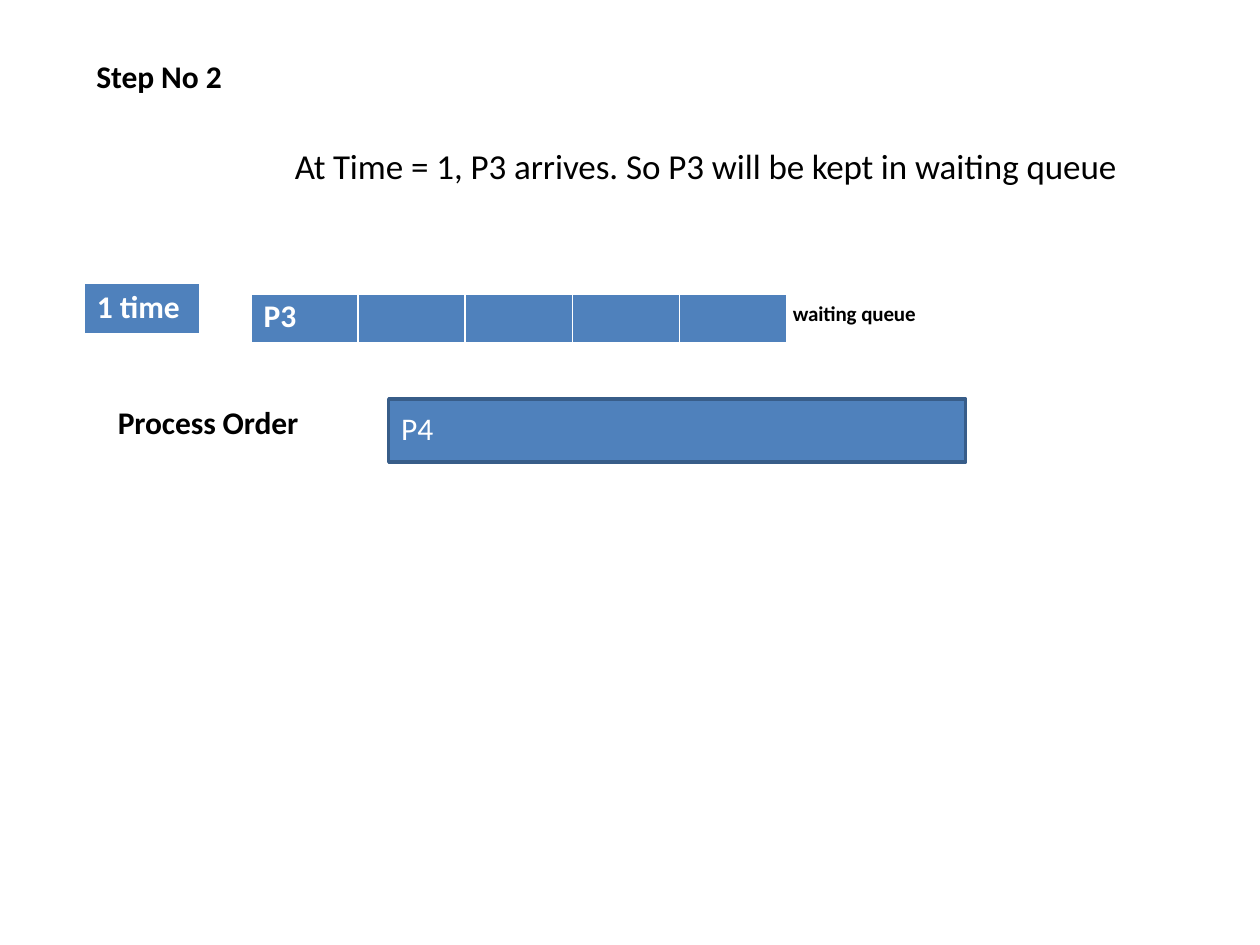
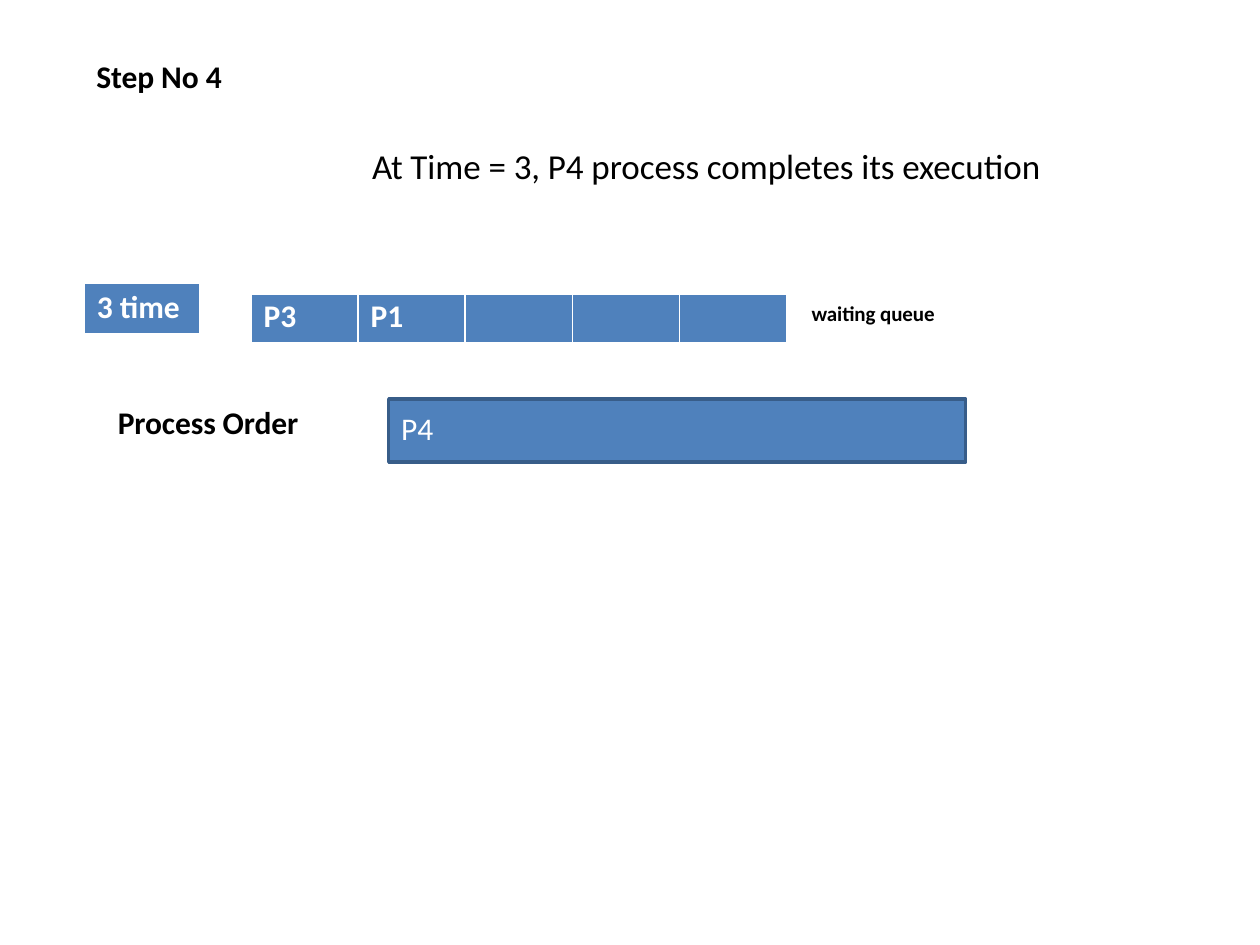
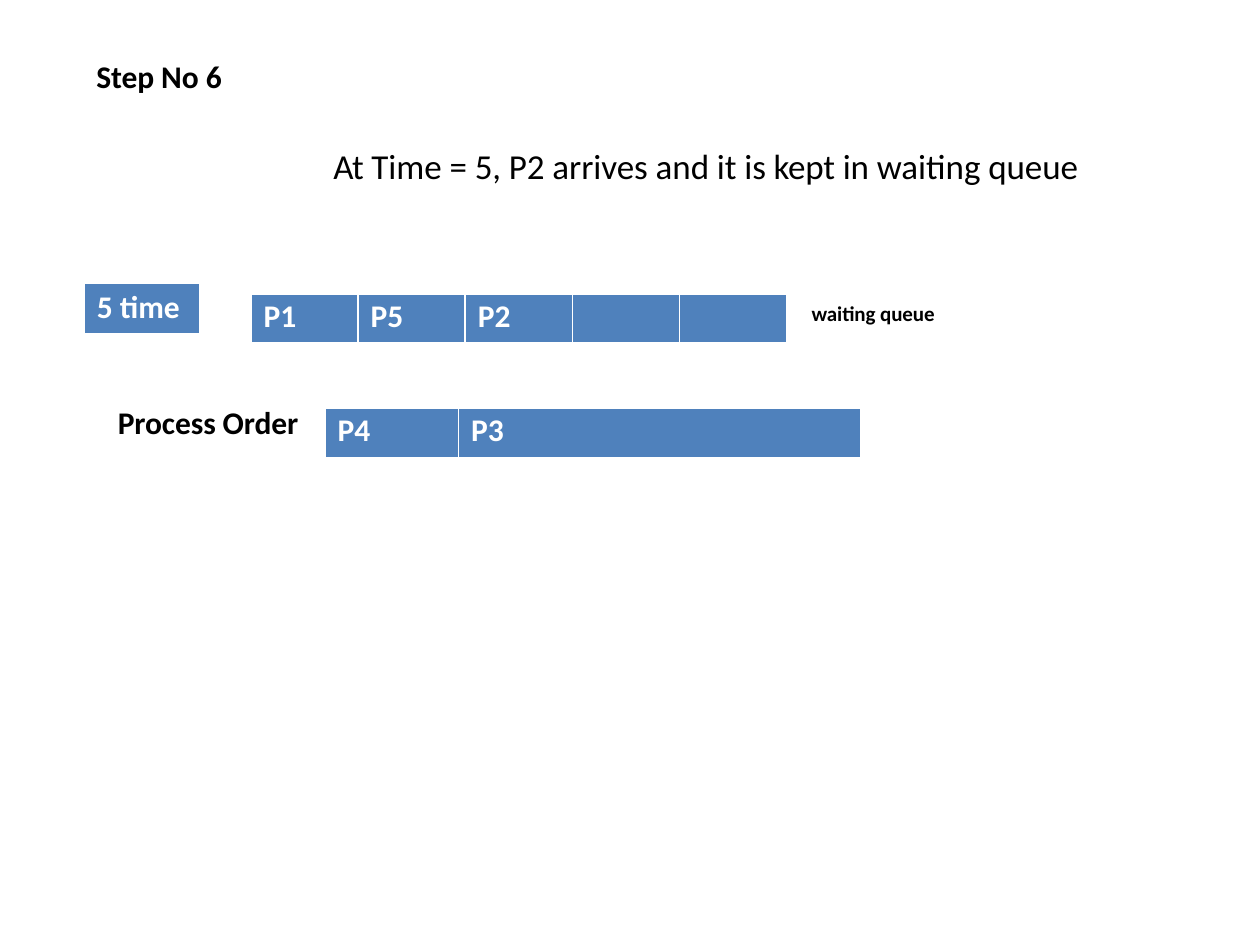
from collections import namedtuple

from pptx import Presentation
from pptx.dml.color import RGBColor
from pptx.enum.shapes import MSO_CONNECTOR, MSO_SHAPE
from pptx.enum.text import MSO_ANCHOR, PP_ALIGN
from pptx.oxml.ns import qn
from pptx.util import Inches, Pt
from lxml.etree import SubElement

COLORS = {"ink": "000000", "paper": "FFFFFF", "block": "4F81BC", "edge": "385D89"}
FONT = "Calibri"

# The slide is a grid of 100 columns and 75 rows of equal size
COLUMNS, ROWS = 100, 75
SLIDE_WIDTH, SLIDE_HEIGHT = Inches(10), Inches(7.5)

Box = namedtuple("Box", "left top width height")
Step = namedtuple("Step", "number headline headline_width time waiting label_gap order")

HEADLINE_CENTER = 56.25
QUEUE_SLOTS = 5
TIGHT, TIGHTER, TIGHTEST = -0.05, -0.15, -0.25

# Each headline is a list of (text, letter spacing)
STEPS = [
    Step(2, [("At ", TIGHTEST), ("Time = 1, P3 arrives. So P3 will be ", TIGHT),
             ("kept ", TIGHTER), ("in waiting queue", TIGHT)],
         65.9, 1, ["P3"], 0.4, {"P4": 45.8}),
    Step(4, [("At ", TIGHTEST), ("Time = 3, P4 process completes its execution", TIGHT)],
         53.6, 3, ["P3", "P1"], 1.9, {"P4": 45.8}),
    Step(6, [("At ", TIGHTEST), ("Time = 5, P2 arrives and it is ", TIGHT),
             ("kept ", TIGHTER), ("in waiting queue", TIGHT)],
         59.8, 5, ["P1", "P5", "P2"], 1.9, {"P4": 10.6, "P3": 31.9}),
]


def across(columns):
    return round(SLIDE_WIDTH * columns / COLUMNS)


def down(rows):
    return round(SLIDE_HEIGHT * rows / ROWS)


def place(box):
    return across(box.left), down(box.top), across(box.width), down(box.height)


def color(name):
    return RGBColor.from_string(COLORS[name])


def write(frame, runs, size=18, ink="ink", bold=True, before=1.0):
    """Add runs of (text, letter spacing) to the first paragraph of a frame."""
    para = frame.paragraphs[0]
    para.alignment = PP_ALIGN.LEFT
    para.space_before = Pt(before)
    for text, spacing in runs:
        span = para.add_run()
        span.text = text
        span.font.name = FONT
        span.font.size = Pt(size)
        span.font.bold = bold
        span.font.color.rgb = color(ink)
        if spacing:
            span.font._element.set("spc", str(round(spacing * 100)))


def set_margins(target, left, top):
    target.margin_left, target.margin_top = Inches(left), Inches(top)
    target.margin_right = target.margin_bottom = 0


def add_label(page, box, runs, indent=0.01, **style):
    frame = page.shapes.add_textbox(*place(box)).text_frame
    frame.word_wrap = True
    set_margins(frame, indent, 0.01)
    write(frame, runs, **style)


def add_block(page, box, fill):
    shape = page.shapes.add_shape(MSO_SHAPE.RECTANGLE, *place(box))
    shape.shadow.inherit = False
    shape.fill.solid()
    shape.fill.fore_color.rgb = color(fill)
    shape.line.fill.background()
    return shape


def set_line(shape, name, width):
    shape.line.color.rgb = color(name)
    shape.line.width = Pt(width)


def add_badge(page, box, time):
    """Draw the time badge: a filled block framed by white rules."""
    add_block(page, box, "block")
    right, bottom = box.left + box.width, box.top + box.height

    # Left and right rules as one outline
    top_end, bottom_end = down(box.top - 0.1), down(bottom + 0.15)
    builder = page.shapes.build_freeform(across(box.left), top_end)
    builder.add_line_segments([(across(box.left), bottom_end)], close=False)
    builder.move_to(across(right), top_end)
    builder.add_line_segments([(across(right), bottom_end)], close=False)
    sides = builder.convert_to_shape()
    sides.shadow.inherit = False
    sides.fill.background()
    set_line(sides, "paper", 1)

    # Top and bottom rules
    add_block(page, Box(box.left - 0.05, box.top - 0.1, box.width + 0.1, 0.13), "paper")
    base = page.shapes.add_connector(
        MSO_CONNECTOR.STRAIGHT, across(box.left - 0.05), down(bottom),
        across(right + 0.05), down(bottom))
    set_line(base, "paper", 3)
    SubElement(base._element.spPr, qn("a:effectLst"))

    add_label(page, Box(box.left, box.top + 0.2, 9, 3.3),
              [(f"{time} ", 0), ("time", TIGHT)], indent=0.1, ink="paper")


def add_bar(page, box, name):
    """Draw the bar of the one running process."""
    bar = add_block(page, box, "block")
    set_line(bar, "edge", 1.92)
    frame = bar.text_frame
    frame.word_wrap = True
    frame.vertical_anchor = MSO_ANCHOR.TOP
    set_margins(frame, 0.1, 0.08)
    write(frame, [(name, -TIGHT)], ink="paper", bold=False, before=6.1)


def set_borders(cell):
    properties = cell._tc.get_or_add_tcPr()
    for position, (side, width) in enumerate(
            [("a:lnL", 1), ("a:lnR", 1), ("a:lnT", 1), ("a:lnB", 3)]):
        line = properties.makeelement(qn(side), {"w": str(Pt(width))})
        fill = SubElement(line, qn("a:solidFill"))
        SubElement(fill, qn("a:srgbClr"), val=COLORS["paper"])
        properties.insert(position, line)


def add_strip(page, box, names, widths):
    """Draw a one-row table of processes."""
    table = page.shapes.add_table(1, len(widths), *place(box)).table
    table.first_row = table.horz_banding = False
    table.rows[0].height = down(box.height)
    for index, width in enumerate(widths):
        table.columns[index].width = across(width)
        cell = table.cell(0, index)
        cell.fill.solid()
        cell.fill.fore_color.rgb = color("block")
        set_margins(cell, 0.1, 0.03)
        set_borders(cell)
        if index < len(names):
            write(cell.text_frame, [(names[index], 0)], ink="paper", before=2.5)


def add_heading(page, box, step):
    # Step number at the left, headline centred on its own axis
    add_label(page, Box(box.left, box.top, 10.3, 3.3),
              [("Step No ", TIGHT), (str(step.number), 0)])
    left = HEADLINE_CENTER - step.headline_width / 2
    add_label(page, Box(left, box.top + 7, step.headline_width, 3.6),
              step.headline, size=20, bold=False, before=0.9)


def add_queue(page, box, step):
    # Time badge, then the waiting queue and its label
    add_badge(page, Box(box.left, box.top, 9.15, 4.1), step.time)
    queue = Box(box.left + 13.22, box.top + 0.82, 42.5, 4)
    add_strip(page, queue, step.waiting, [queue.width / QUEUE_SLOTS] * QUEUE_SLOTS)
    add_label(page, Box(queue.left + queue.width + step.label_gap, queue.top + 0.4, 10.2, 2.3),
              [("waiting queue", TIGHT)], size=12)


def add_process_order(page, box, step):
    # Label, then one bar or a strip of processes
    add_label(page, Box(box.left, box.top + 0.2, 14.7, 3.3), [("Process Order", TIGHT)])
    names, widths = list(step.order), list(step.order.values())
    if len(names) == 1:
        add_bar(page, Box(box.left + 21.6, box.top, widths[0], 5), names[0])
    else:
        add_strip(page, Box(box.left + 16.55, box.top + 0.7, sum(widths), 4.05), names, widths)


def add_step_slide(deck, step):
    page = deck.slides.add_slide(deck.slide_layouts[6])
    add_heading(page, Box(7.55, 4.4, 85, 11), step)
    add_queue(page, Box(6.7, 22.5, 85, 5), step)
    add_process_order(page, Box(9.25, 31.68, 85, 5), step)


def main():
    deck = Presentation()
    deck.slide_width, deck.slide_height = SLIDE_WIDTH, SLIDE_HEIGHT
    for step in STEPS:
        add_step_slide(deck, step)
    deck.save("out.pptx")


if __name__ == "__main__":
    main()
